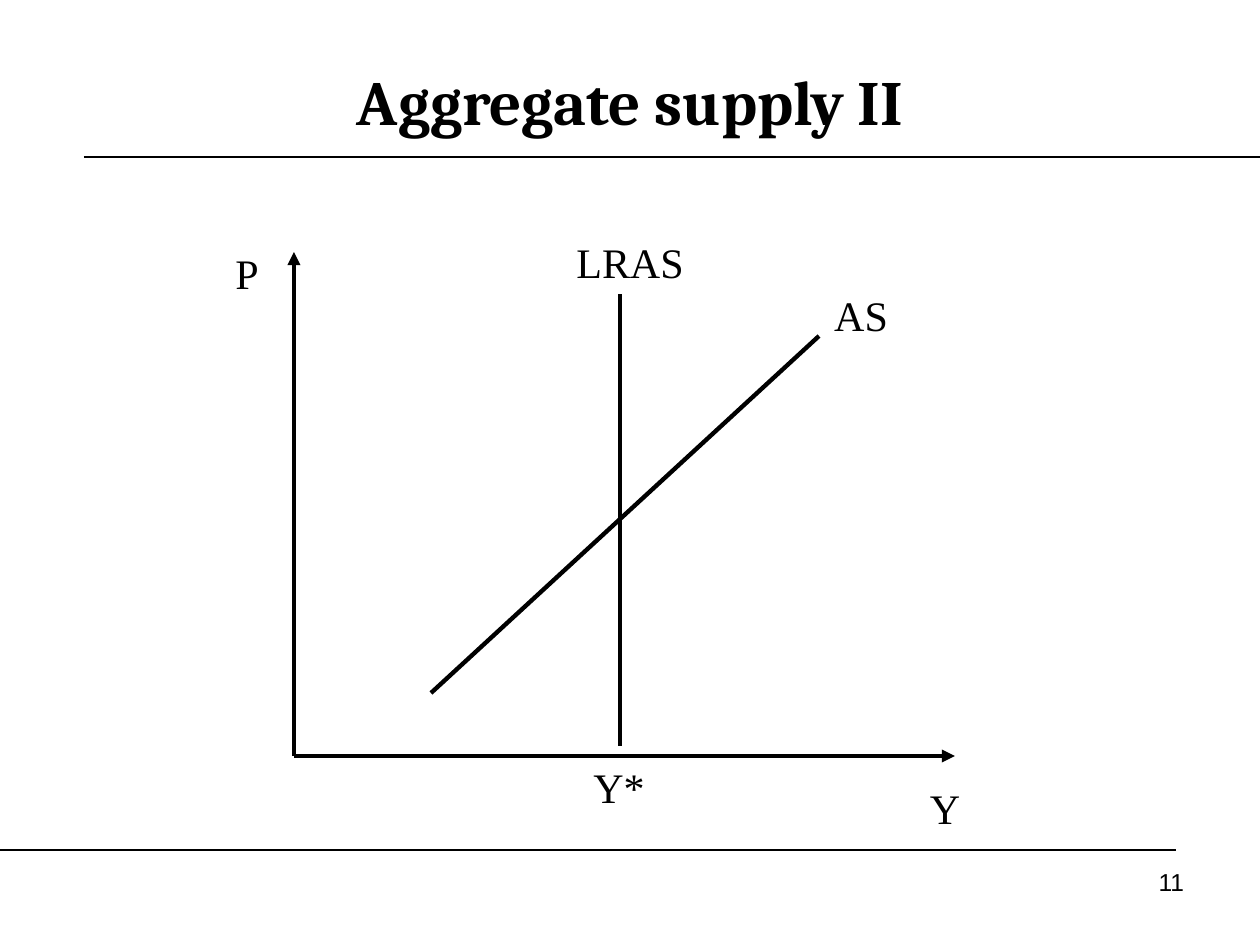
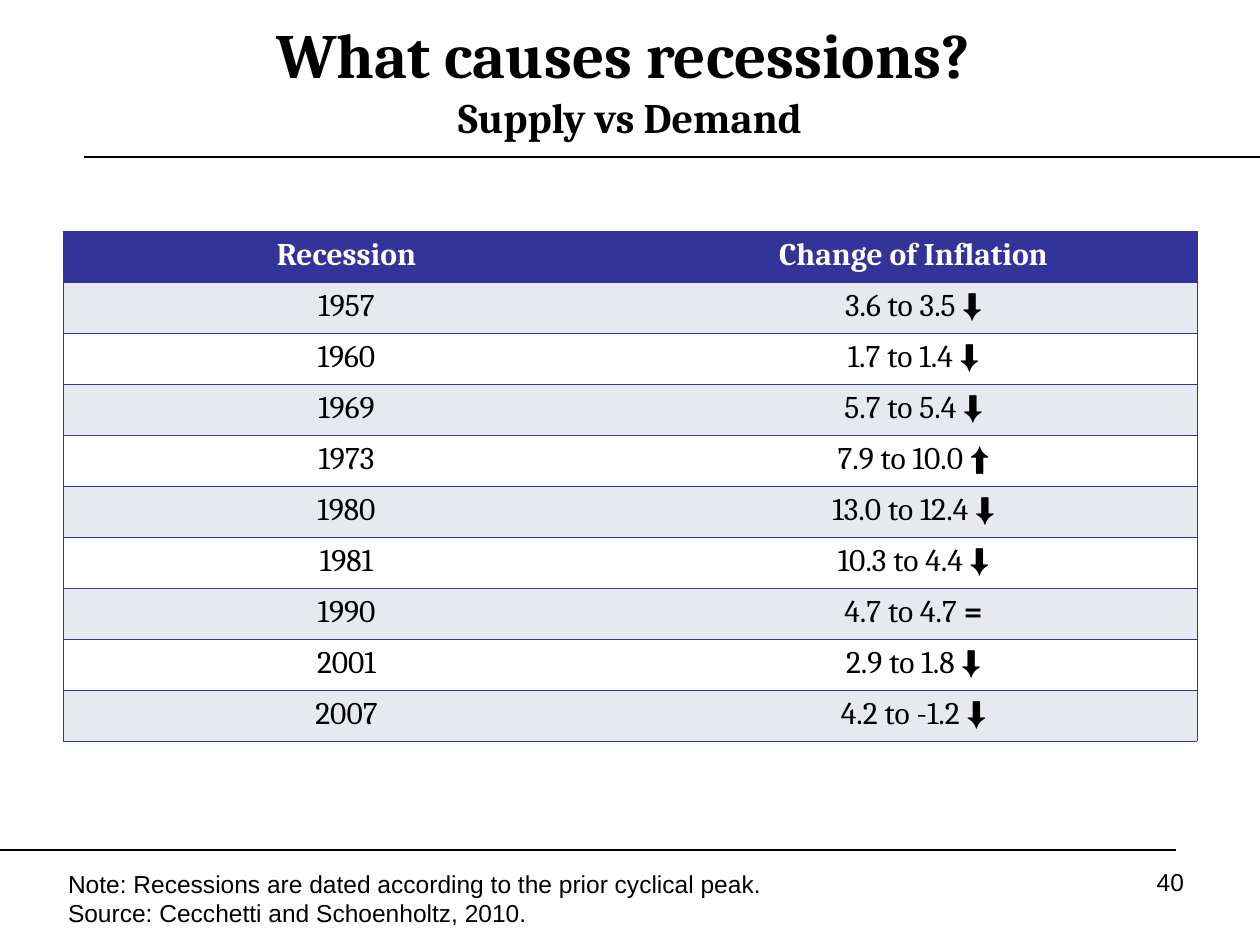
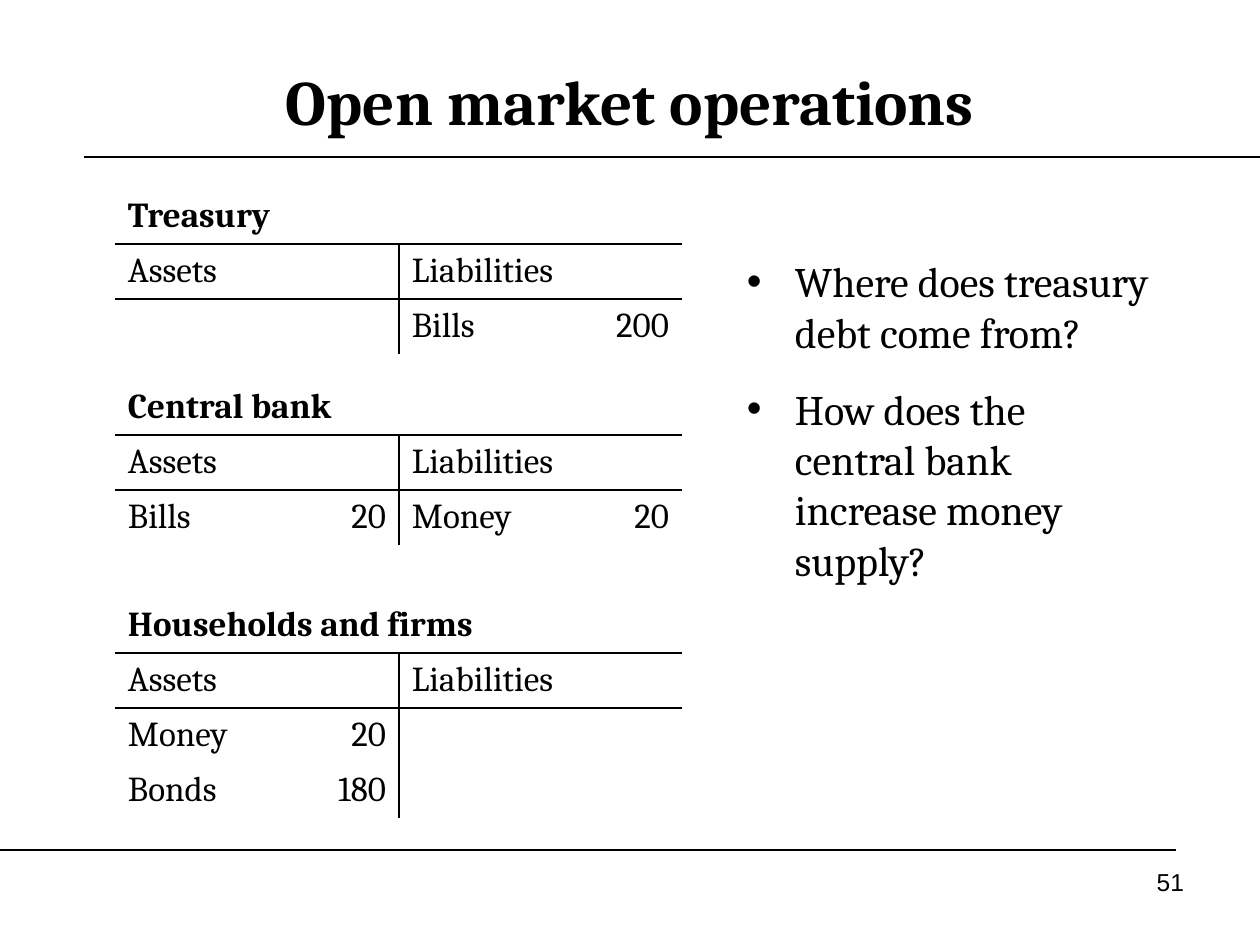
from lxml import etree
from pptx import Presentation
from pptx.dml.color import RGBColor
from pptx.enum.shapes import MSO_CONNECTOR
from pptx.enum.text import MSO_ANCHOR, PP_ALIGN
from pptx.oxml.ns import qn
from pptx.util import Pt

STRAIGHT = MSO_CONNECTOR.STRAIGHT
MIDDLE, TOP = MSO_ANCHOR.MIDDLE, MSO_ANCHOR.TOP
LEFT, CENTER, RIGHT = PP_ALIGN.LEFT, PP_ALIGN.CENTER, PP_ALIGN.RIGHT

COLORS = {"ink": "000000", "paper": "FFFFFF", "header": "333399", "band": "E8E8EF"}
SERIF, SANS, LABEL = "Cambria", "Arial", "Times New Roman"
NO_TABLE_STYLE = "{2D5ABB26-0587-4C30-8999-92F81FD0307C}"
TITLE_ONLY = 5

SLIDE_WIDTH, SLIDE_HEIGHT = 1260, 945
INSET_X, INSET_Y = 13, 6
LABEL_HEIGHT = 63

INFLATION = [
    ("1957", "3.6 to 3.5 ", "⬇"),
    ("1960", "1.7 to 1.4 ", "⬇"),
    ("1969", "5.7 to 5.4 ", "⬇"),
    ("1973", "7.9 to 10.0 ", "⬆"),
    ("1980", "13.0 to 12.4 ", "⬇"),
    ("1981", "10.3 to 4.4 ", "⬇"),
    ("1990", "4.7 to 4.7 ", "="),
    ("2001", "2.9 to 1.8 ", "⬇"),
    ("2007", "4.2 to -1.2 ", "⬇"),
]

# Top edge, holder, and entries: asset, amount, liability, amount
BALANCE_SHEETS = [
    (189, "Treasury", [("", "", "Bills", "200")]),
    (380, "Central bank", [("Bills", "20", "Money", "20")]),
    (598, "Households and firms", [("Money", "20", "", ""), ("Bonds", "180", "", "")]),
]


def px(length):
    return round(length * 914400 / 126)


def rgb(name):
    return RGBColor.from_string(COLORS[name])


def set_font(font, name, size, color="ink", bold=False):
    font.name, font.size, font.bold = name, Pt(size), bold
    font.color.rgb = rgb(color)


def add_line(slide, start, end, width, arrow=False):
    line = slide.shapes.add_connector(STRAIGHT, *map(px, (*start, *end)))
    line.line.color.rgb = rgb("ink")
    line.line.width = Pt(width)
    if arrow:
        etree.SubElement(line.line._get_or_add_ln(), qn("a:tailEnd"), type="triangle")
    etree.SubElement(line.element.spPr, qn("a:effectLst"))


def add_text(slide, box, lines, font, size, align=LEFT):
    """Add a text box with one paragraph per line and return its paragraphs."""
    frame = slide.shapes.add_textbox(*map(px, box)).text_frame
    frame.word_wrap = True
    frame.margin_left = frame.margin_right = px(INSET_X)
    frame.margin_top = frame.margin_bottom = px(INSET_Y)
    frame.text = "\n".join(lines)
    for paragraph in frame.paragraphs:
        paragraph.alignment = align
        set_font(paragraph.font, font, size)
    return frame.paragraphs


def add_slide(presentation, title, number, subtitle=None):
    slide = presentation.slides.add_slide(presentation.slide_layouts[TITLE_ONLY])
    add_line(slide, (84, 157), (SLIDE_WIDTH, 157), 0.75)
    add_line(slide, (0, 850), (1176, 850), 0.75)

    heading = slide.shapes.title
    heading.left, heading.width, heading.height = px(63), px(1134), px(116)
    heading.top = px(21 if subtitle else 42)
    frame = heading.text_frame
    frame.vertical_anchor = MIDDLE
    frame.word_wrap = True
    paragraph = frame.paragraphs[0]
    paragraph.alignment = CENTER
    set_font(paragraph.font, SERIF, 36, bold=True)
    paragraph.add_run().text = title
    if subtitle:
        paragraph.add_line_break()
        run = paragraph.add_run()
        run.text = subtitle
        run.font.size = Pt(24)

    add_text(slide, (903, 861, 294, 65), [str(number)], SANS, 14, RIGHT)
    return slide


def add_plain_table(slide, left, top, columns, row_count, row_height):
    frame = slide.shapes.add_table(row_count, len(columns), px(left), px(top),
                                   px(sum(columns)), px(row_count * row_height))
    frame.element.find(".//" + qn("a:tableStyleId")).text = NO_TABLE_STYLE
    table = frame.table
    table.first_row = table.horz_banding = False
    for column, width in zip(table.columns, columns):
        column.width = px(width)
    for row in table.rows:
        row.height = px(row_height)
    return table


def set_borders(cell, sides, color, width):
    """Draw the given sides (from L, R, T, B) and clear the others."""
    properties = cell._tc.get_or_add_tcPr()
    for side in "LRTB":
        border = etree.SubElement(properties, qn("a:ln" + side), w=str(Pt(width)))
        if side in sides:
            fill = etree.SubElement(border, qn("a:solidFill"))
            etree.SubElement(fill, qn("a:srgbClr"), val=COLORS[color])
        else:
            etree.SubElement(border, qn("a:noFill"))


def fill_cell(cell, text, size, align, anchor, color="ink", bold=False):
    cell.margin_left = cell.margin_right = px(INSET_X)
    cell.margin_top = cell.margin_bottom = px(INSET_Y)
    cell.vertical_anchor = anchor
    paragraph = cell.text_frame.paragraphs[0]
    paragraph.alignment = align
    set_font(paragraph.font, SERIF, size, color, bold)
    if text:
        paragraph.add_run().text = text
    return paragraph


def draw_supply_graph(slide, left, top):
    def at(x, y):
        return left + x, top + y

    origin = at(84, 525)
    add_line(slide, origin, at(745, 525), 2.5, arrow=True)
    add_line(slide, origin, at(84, 21), 2.5, arrow=True)
    add_line(slide, at(410, 515), at(410, 63), 2.5)
    add_line(slide, at(221, 462), at(609, 105), 2.5)
    for label, x, y, width in [("Y", 693, 546, 84), ("P", 0, 11, 74), ("LRAS", 336, 0, 168),
                               ("AS", 609, 53, 84), ("Y*", 367, 525, 84)]:
        add_text(slide, (*at(x, y), width, LABEL_HEIGHT), [label], LABEL, 24, CENTER)


def draw_inflation_table(slide, left, top):
    table = add_plain_table(slide, left, top, [567, 567], len(INFLATION) + 1, 51)
    rows = [("Recession", "Change of Inflation", "")] + INFLATION
    for index, (recession, change, symbol) in enumerate(rows):
        is_header = index == 0
        background = "header" if is_header else "band" if index % 2 else "paper"
        for column, (text, sides) in enumerate([(recession, "LTB"), (change, "RTB")]):
            cell = table.cell(index, column)
            set_borders(cell, sides, "header", 0.45)
            cell.fill.solid()
            cell.fill.fore_color.rgb = rgb(background)
            paragraph = fill_cell(cell, text, 18, CENTER, TOP,
                                  "paper" if is_header else "ink", is_header)
        if symbol:
            run = paragraph.add_run()
            run.text = symbol
            if symbol == "=":
                run.font.bold = True
            else:
                run.font.name = SANS


def balance_sheet_sides(row, column):
    """Name the drawn sides of a cell: rules around row 1, a divider below row 0."""
    sides = ("T" if row in (1, 2) else "") + ("B" if row in (0, 1) else "")
    if row and column == 2:
        sides += "L"
    if row and column == 1 or (row, column) == (1, 0):
        sides += "R"
    return sides


def draw_balance_sheet(slide, left, top, holder, entries):
    rows = [(holder, "", "", ""), ("Assets", "", "Liabilities", "")] + entries
    table = add_plain_table(slide, left, top, [187, 97, 142, 141], len(rows), 55)
    for index, row in enumerate(rows):
        for column, text in enumerate(row):
            cell = table.cell(index, column)
            set_borders(cell, balance_sheet_sides(index, column), "ink", 1.08)
            cell.fill.background()
            fill_cell(cell, text, 20, RIGHT if column % 2 else LEFT, MIDDLE, bold=index == 0)
    table.cell(0, 0).merge(table.cell(0, 3))
    for column in (0, 2):
        table.cell(1, column).merge(table.cell(1, column + 1))


def draw_questions(slide, box, questions):
    paragraphs = add_text(slide, box, questions, SERIF, 24)
    for index, paragraph in enumerate(paragraphs):
        properties = paragraph._p.get_or_add_pPr()
        properties.set("marL", str(px(48)))
        properties.set("indent", str(-px(48)))
        color = etree.Element(qn("a:buClr"))
        etree.SubElement(color, qn("a:srgbClr"), val=COLORS["ink"])
        bullet_font = etree.Element(qn("a:buFont"), typeface=SANS)
        bullet = etree.Element(qn("a:buChar"), char="•")
        for position, element in enumerate((color, bullet_font, bullet)):
            properties.insert(position, element)
        if index:
            paragraph.space_before = Pt(15)


def main():
    presentation = Presentation()
    presentation.slide_width, presentation.slide_height = px(SLIDE_WIDTH), px(SLIDE_HEIGHT)

    supply = add_slide(presentation, "Aggregate supply II", 11)
    draw_supply_graph(supply, 210, 231)

    recessions = add_slide(presentation, "What causes recessions? ", 40, "Supply vs Demand")
    draw_inflation_table(recessions, 63, 231)
    notes = ["Note: Recessions are dated according to the prior cyclical peak.",
             "Source: Cecchetti and Schoenholtz, 2010."]
    add_text(recessions, (55, 863, 750, 72), notes, SANS, 14)

    operations = add_slide(presentation, "Open market operations", 51)
    for top, holder, entries in BALANCE_SHEETS:
        draw_balance_sheet(operations, 115, top, holder, entries)
    draw_questions(operations, (734, 250, 431, 441),
                   ["Where does treasury debt come from?",
                    "How does the central bank increase money supply?"])

    presentation.save("out.pptx")


if __name__ == "__main__":
    main()
